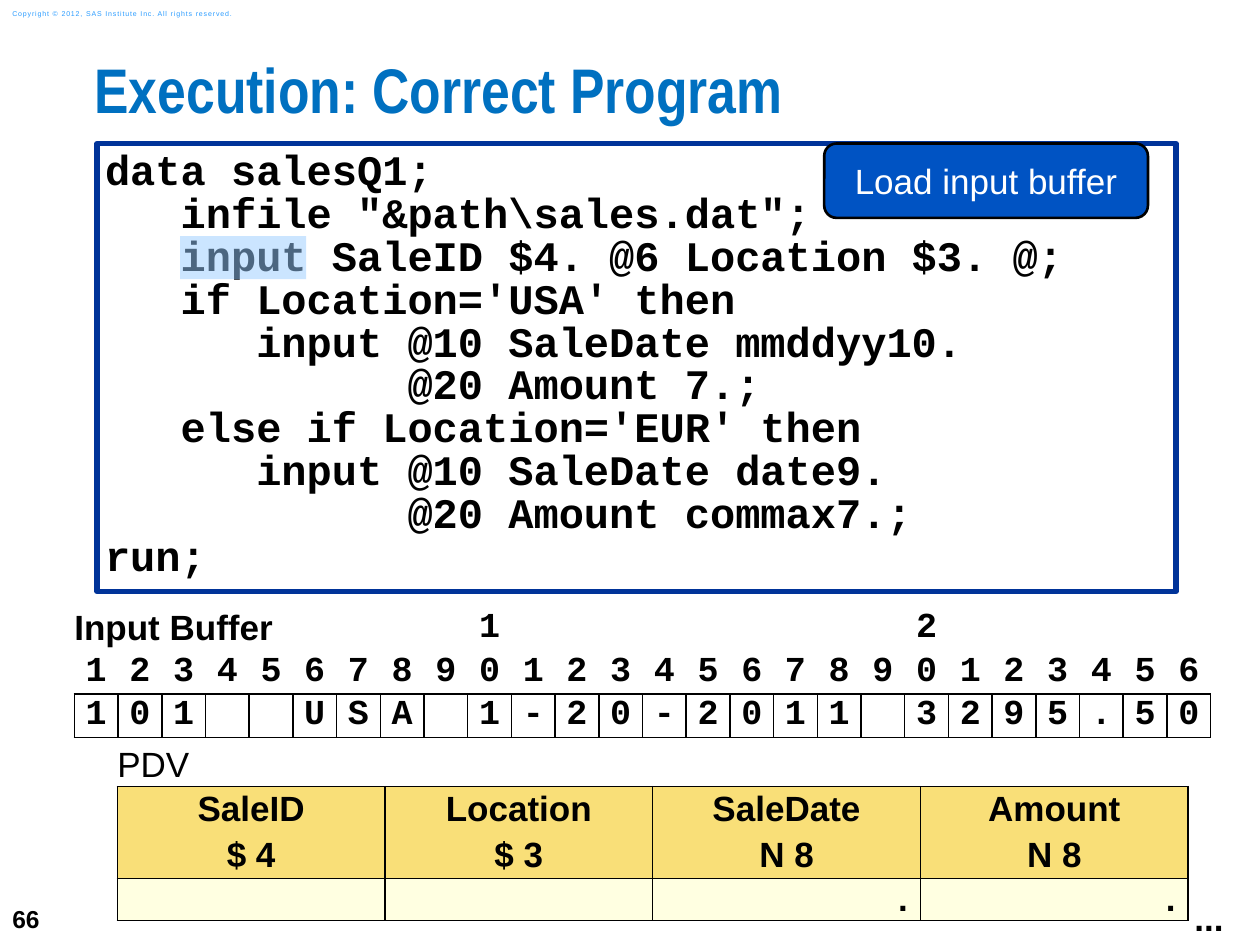
from lxml.etree import SubElement as Sub
from pptx import Presentation
from pptx.dml.color import RGBColor as RGB
from pptx.enum.shapes import MSO_SHAPE as Geo
from pptx.enum.text import MSO_ANCHOR as Anchor, PP_ALIGN as Align
from pptx.oxml.ns import qn
from pptx.util import Pt

HUES = {
    "black": "000000", "white": "FFFFFF", "title": "0070C0", "frame": "003399",
    "call": "0053C3", "gold": "F9DF78", "cream": "FFFFE1", "mark": "99CCFF",
    "copy": "2A9CFF",
}
CODE = [
    "data salesQ1;",
    "   infile \"&path\\sales.dat\";",
    "   input SaleID $4. @6 Location $3. @;",
    "   if Location='USA' then",
    "      input @10 SaleDate mmddyy10.",
    "            @20 Amount 7.;",
    "   else if Location='EUR' then",
    "      input @10 SaleDate date9.",
    "            @20 Amount commax7.;",
    "run;",
]
BUFFER = "101  USA 1-20-2011 3295.50"
PDV = [("SaleID", "$ 4", ""), ("Location", "$ 3", ""),
       ("SaleDate", "N 8", "."), ("Amount", "N 8", ".")]
MONO = "Courier New"


def tint(name):
    return RGB.from_string(HUES[name])


def write(frame, lines, size, hue="black", face="Arial", bold=True,
          align=Align.LEFT, pitch=None, gap=0, track=None):
    for i, line in enumerate(lines):
        para = frame.paragraphs[0] if i == 0 else frame.add_paragraph()
        para.alignment = align
        para.space_before = Pt(gap if i else 0)
        if pitch:
            para.line_spacing = pitch
        run = para.add_run()
        run.text = line
        font = run.font
        font.size, font.name, font.bold = Pt(size), face, bold
        font.color.rgb = tint(hue)
        if track:
            font._element.set("spc", str(track))


def inset(frame, side, top):
    frame.margin_left = frame.margin_right = Pt(side)
    frame.margin_top = frame.margin_bottom = Pt(top)


def label(box, text, size, side=7.2, top=3.6, anchor=Anchor.TOP, wrap=True, **look):
    frame = slide.shapes.add_textbox(*map(Pt, box)).text_frame
    frame.word_wrap = wrap
    frame.vertical_anchor = anchor
    inset(frame, side, top)
    write(frame, [text], size, **look)


def block(geo, box, fill, line=None, width=0):
    shape = slide.shapes.add_shape(geo, *map(Pt, box))
    shape.shadow.inherit = False
    shape.fill.solid()
    shape.fill.fore_color.rgb = tint(fill)
    if line:
        shape.line.color.rgb = tint(line)
        shape.line.width = Pt(width)
    else:
        shape.line.fill.background()
    return shape


def grid(left, top, wide, rows, count):
    box = left, top, wide * count, sum(rows)
    table = slide.shapes.add_table(len(rows), count, *map(Pt, box)).table
    table.first_row = table.horz_banding = False
    for col in table.columns:
        col.width = Pt(wide)
    for row, high in zip(table.rows, rows):
        row.height = Pt(high)
    return table


def dress(cell, edges, fill=None, side=0):
    inset(cell, side, 0)
    cell.vertical_anchor = Anchor.MIDDLE
    props = cell._tc.get_or_add_tcPr()
    for edge in "LRTB":
        line = Sub(props, qn("a:ln" + edge), w=str(Pt(1)))
        if edge in edges:
            paint = Sub(line, qn("a:solidFill"))
            Sub(paint, qn("a:srgbClr"), val=HUES["black"])
        else:
            Sub(line, qn("a:noFill"))
    if fill:
        cell.fill.solid()
        cell.fill.fore_color.rgb = tint(fill)
    else:
        cell.fill.background()


deck = Presentation()
deck.slide_width, deck.slide_height = Pt(720), Pt(540)
slide = deck.slides.add_slide(deck.slide_layouts[6])

label((0, 510, 42, 30), "66", 14, anchor=Anchor.MIDDLE)
label((0, 2, 152, 12), "Copyright © 2012, SAS Institute Inc. All rights reserved.", 4,
      anchor=Anchor.MIDDLE, hue="copy", bold=False, track=50)
label((54, 36, 666, 53), "Execution: Correct Program", 36, side=0, top=0,
      hue="title", face="Arial Narrow", pitch=0.83)

code = block(Geo.RECTANGLE, (55.5, 82, 616.5, 256), "white", "frame", 3).text_frame
code.vertical_anchor = Anchor.TOP
inset(code, 4.5, 4.5)
write(code, CODE, 24, face=MONO, pitch=0.85)

count = len(BUFFER)
table = grid(42.5, 346.5, 25, [25] * 3, count)
tens = [str(n // 10) if n % 10 == 0 else "" for n in range(1, count + 1)]
ones = [str(n % 10) for n in range(1, count + 1)]
for r, (marks, edges) in enumerate([(tens, ""), (ones, "B"), (BUFFER, "LRTB")]):
    for c, mark in enumerate(marks):
        cell = table.cell(r, c)
        dress(cell, edges)
        if mark.strip():
            write(cell.text_frame, [mark], 20, face=MONO, align=Align.CENTER)
head = table.cell(0, 0)
head.merge(table.cell(0, 8))
write(head.text_frame, ["Input Buffer"], 20)

table = grid(67, 425.5, 153, [24, 52.5, 24], len(PDV))
for c, (name, kind, value) in enumerate(PDV):
    top, head, body = (table.cell(r, c) for r in range(3))
    dress(top, "B", "white")
    dress(head, "LRTB", "gold", 7.2)
    dress(body, "LRTB", "cream", 7.2)
    write(head.text_frame, [name, kind], 20, align=Align.CENTER, gap=4)
    if value:
        write(body.text_frame, [value], 20, align=Align.RIGHT)
head = table.cell(0, 0)
head.merge(table.cell(0, len(PDV) - 1))
write(head.text_frame, ["PDV"], 20, bold=False)

call = block(Geo.ROUNDED_RECTANGLE, (471, 82, 185, 42.5), "call", "black", 1.5).text_frame
call.vertical_anchor = Anchor.MIDDLE
inset(call, 7.2, 7.2)
write(call, ["Load input buffer"], 20, hue="white", bold=False, align=Align.CENTER)

label((675.5, 508.5, 31, 31.5), "...", 20, wrap=False)

mark = block(Geo.RECTANGLE, (103, 135, 72, 24.5), "mark")
shade = mark.fill._xPr.find(qn("a:solidFill"))[0]
Sub(shade, qn("a:alpha"), val="50000")

deck.save("out.pptx")
